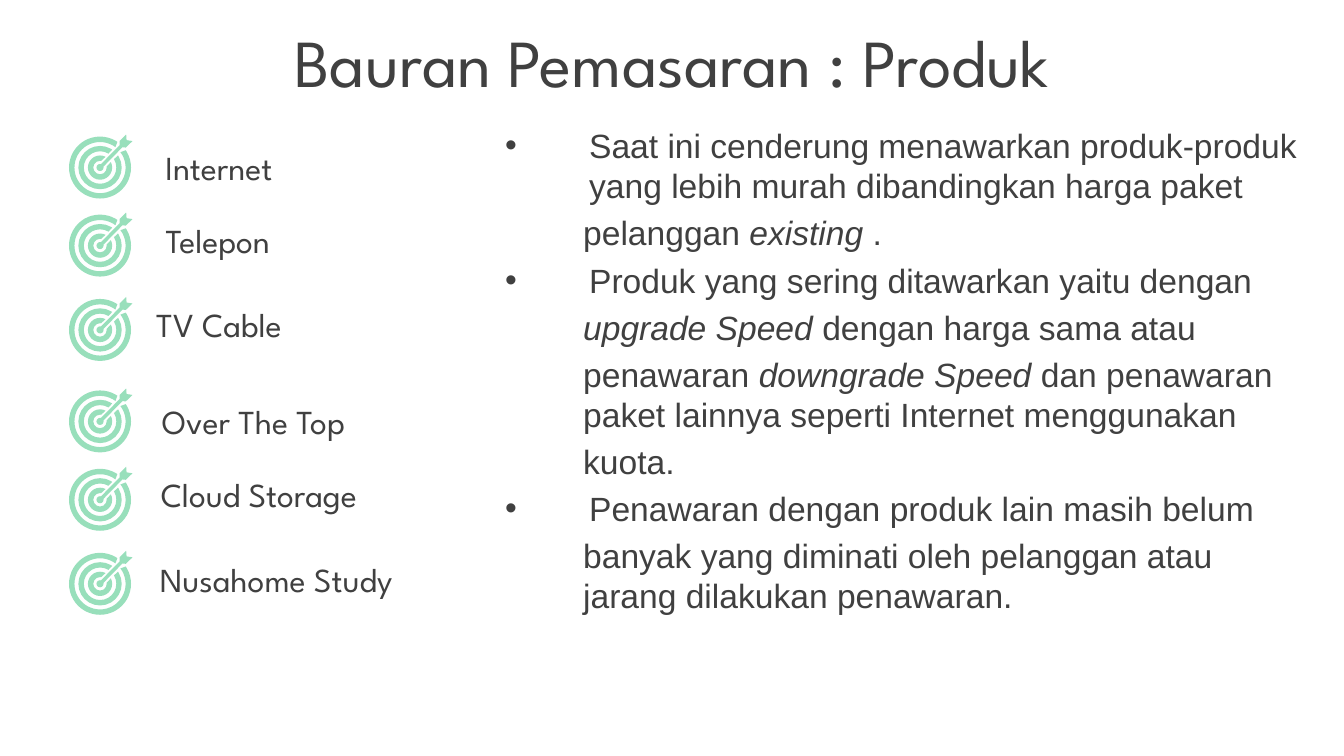
import math

import lxml.etree
import pptx
import pptx.dml.color
import pptx.enum.text
import pptx.oxml.ns
import pptx.util

Pt = pptx.util.Pt
qn = pptx.oxml.ns.qn
COLORS = {"text": "404040", "target": "98DFBB", "background": "FFFFFF"}
HEADING_FONT = "League Spartan"
BODY_FONT = "Arial"
CENTER = pptx.enum.text.PP_ALIGN.CENTER

ICON_LEFT = 36.8
ICON_WIDTH, ICON_HEIGHT = 34.2, 34.4
ICON_CENTER = (16.8, 17.8)
ICON_TOPS = [72, 113.8, 159, 208, 250, 295]
LABELS = [
    ("Internet", 72, 67, 90.6),
    ("Telepon", 71.4, 105.8, 90.6),
    ("TV Cable", 72, 151.2, 90.6),
    ("Over The Top", 65.6, 203, 140.4),
    ("Cloud Storage", 71.4, 242, 134.6),
    ("Nusahome Study", 72, 287.4, 152),
]
RINGS = [(16.6, 11, 13.7, 8), (11.6, 11, 8.7, 14), (6.5, 18, 3.6, 36)]
ARROW_HEAD = [(10.5, -12), (10.5, -14.2), (14, -17.7), (14.2, -14.7),
              (17.4, -14.2), (13.8, -10.7), (12, -10.9)]

BODY = [
    (True, [("Saat ini cenderung menawarkan produk-produk yang lebih murah "
             "dibandingkan harga paket", False)]),
    (False, [("pelanggan ", False), ("existing ", True), (".", False)]),
    (True, [("Produk yang sering ditawarkan yaitu dengan", False)]),
    (False, [("upgrade Speed", True), (" dengan harga sama atau", False)]),
    (False, [("penawaran ", False), ("downgrade Speed", True),
             (" dan penawaran paket lainnya seperti Internet menggunakan", False)]),
    (False, [("kuota.", False)]),
    (True, [("Penawaran dengan produk lain masih belum", False)]),
    (False, [("banyak yang diminati oleh pelanggan atau jarang dilakukan "
              "penawaran.", False)]),
]


def color(name):
    return pptx.dml.color.RGBColor.from_string(COLORS[name])


def on_circle(radius, degrees):
    angle = math.radians(degrees)
    return radius * math.cos(angle), radius * math.sin(angle)


def add_point(outline, command, point):
    step = lxml.etree.SubElement(outline, qn(command))
    x, y = (str(Pt(origin + offset)) for origin, offset in zip(ICON_CENTER, point))
    lxml.etree.SubElement(step, qn("a:pt"), x=x, y=y)


def add_arc(outline, radius, start, sweep):
    lxml.etree.SubElement(
        outline, qn("a:arcTo"), wR=str(Pt(radius)), hR=str(Pt(radius)),
        stAng=str(start % 360 * 60000), swAng=str(sweep * 60000))


def add_ring(outline, outer, outer_gap, inner, inner_gap):
    add_point(outline, "a:moveTo", on_circle(outer, 315 + outer_gap))
    add_arc(outline, outer, 315 + outer_gap, 360 - 2 * outer_gap)
    add_point(outline, "a:lnTo", on_circle(inner, 315 - inner_gap))
    add_arc(outline, inner, 315 - inner_gap, 2 * inner_gap - 360)
    lxml.etree.SubElement(outline, qn("a:close"))


def add_arrow(outline):
    add_point(outline, "a:moveTo", on_circle(1.9, 345))
    add_arc(outline, 1.9, 345, 300)
    for point in ARROW_HEAD:
        add_point(outline, "a:lnTo", point)
    lxml.etree.SubElement(outline, qn("a:close"))


def add_target(page, left, top):
    right, bottom = left + ICON_WIDTH, top + ICON_HEIGHT
    builder = page.shapes.build_freeform(Pt(left), Pt(top))
    builder.add_line_segments([(Pt(right), Pt(top)), (Pt(right), Pt(bottom)),
                               (Pt(left), Pt(bottom))])
    target = builder.convert_to_shape()
    outline = next(target._element.iter(qn("a:path")))
    for step in list(outline):
        outline.remove(step)
    for ring in RINGS:
        add_ring(outline, *ring)
    add_arrow(outline)
    target.shadow.inherit = False
    target.fill.solid()
    target.fill.fore_color.rgb = color("target")
    target.line.fill.background()


def add_box(page, left, top, width, height):
    box = page.shapes.add_textbox(Pt(left), Pt(top), Pt(width), Pt(height))
    box.text_frame.word_wrap = True
    box.text_frame.vertical_anchor = pptx.enum.text.MSO_ANCHOR.MIDDLE
    return box


def add_span(para, text, font, size, italic=False):
    span = para.add_run()
    span.text = text
    span.font.name = font
    span.font.size = Pt(size)
    span.font.italic = italic
    span.font.color.rgb = color("text")


def add_heading(page, text, left, top, width, size):
    para = add_box(page, left, top, width, 45.4).text_frame.paragraphs[0]
    para.alignment = CENTER
    para.space_before = Pt(size * 0.2)
    add_span(para, text, HEADING_FONT, size)


def indent(para, margin, bulleted):
    properties = para._p.get_or_add_pPr()
    properties.set("marL", str(Pt(margin)))
    properties.set("indent", str(Pt(-margin) if bulleted else 0))
    if bulleted:
        lxml.etree.SubElement(properties, qn("a:buFont"), typeface=BODY_FONT)
        lxml.etree.SubElement(properties, qn("a:buChar"), char="•")


def add_body(page):
    frame = add_box(page, 263.5, 175.7, 442.8, 45.4).text_frame
    for index, (bulleted, spans) in enumerate(BODY):
        para = frame.add_paragraph() if index else frame.paragraphs[0]
        para.space_before = Pt(3.6)
        indent(para, 45 if bulleted else 41.8, bulleted)
        for text, italic in spans:
            add_span(para, text, BODY_FONT, 18, italic)


def main():
    deck = pptx.Presentation()
    deck.slide_width, deck.slide_height = Pt(720), Pt(405)
    page = deck.slides.add_slide(deck.slide_layouts[6])
    page.background.fill.solid()
    page.background.fill.fore_color.rgb = color("background")
    add_heading(page, "Bauran Pemasaran : Produk", 0, 10, 720, 36)
    for icon_top, (text, left, top, width) in zip(ICON_TOPS, LABELS):
        add_target(page, ICON_LEFT, icon_top)
        add_heading(page, text, left, top, width, 18)
    add_body(page)
    deck.save("out.pptx")


if __name__ == "__main__":
    main()
